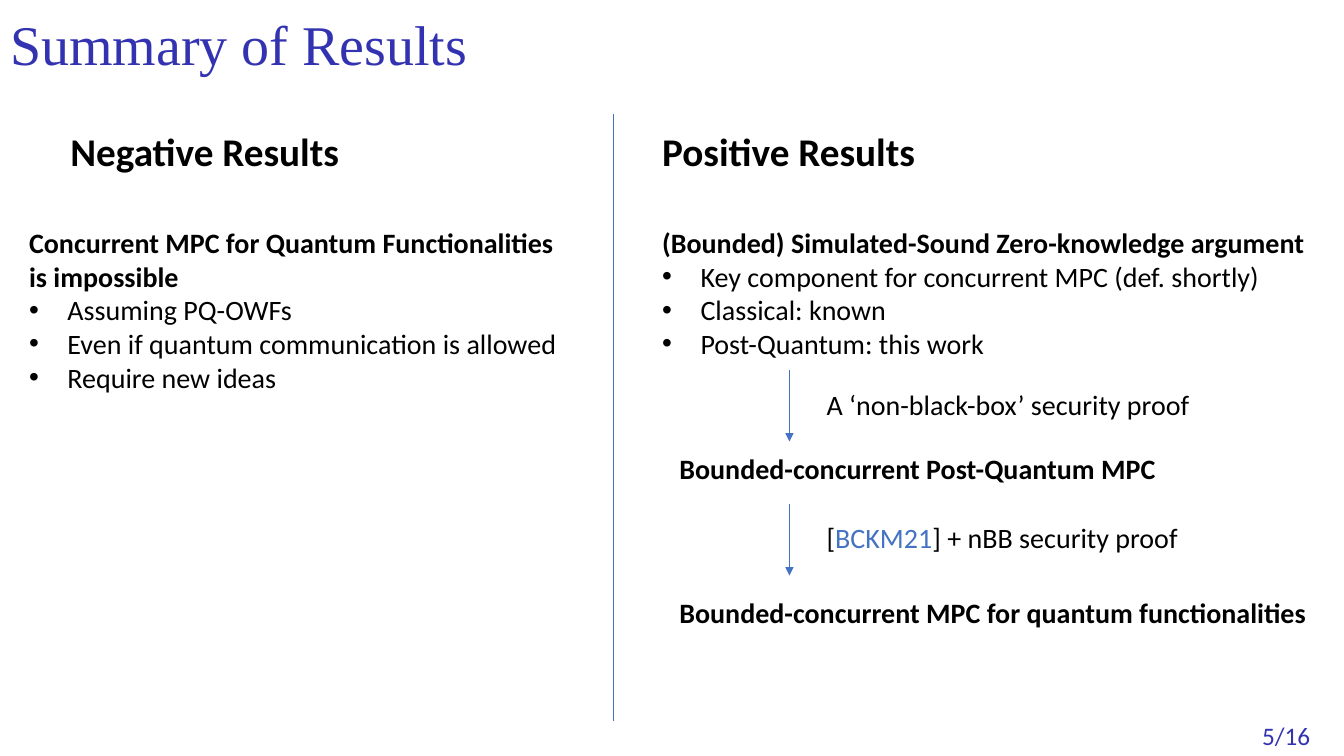
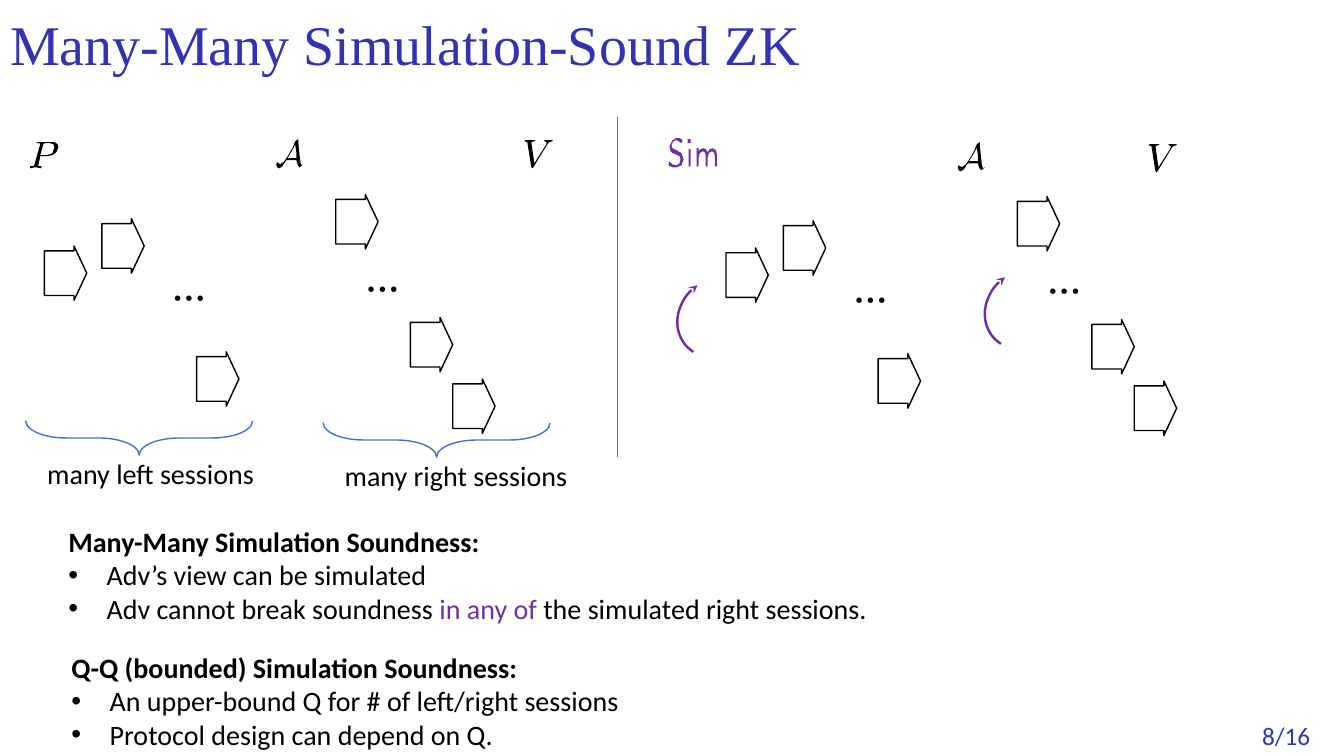
from dataclasses import dataclass
from typing import Any, NamedTuple

from lxml.etree import SubElement
from pptx import Presentation
from pptx.dml.color import RGBColor
from pptx.enum.shapes import MSO_CONNECTOR, MSO_SHAPE
from pptx.enum.text import MSO_ANCHOR, MSO_AUTO_SIZE, PP_ALIGN
from pptx.oxml.ns import qn
from pptx.util import Inches, Pt


@dataclass(frozen=True)
class Theme:
    title: RGBColor = RGBColor(0x33, 0x33, 0xB2)
    ink: RGBColor = RGBColor(0, 0, 0)
    blue: RGBColor = RGBColor(0x44, 0x72, 0xC4)
    purple: RGBColor = RGBColor(0x70, 0x30, 0xA0)
    body_font: str = "Calibri"
    title_font: str = "Times New Roman"
    title_size: int = 40
    heading_size: int = 28
    dots_size: int = 24
    body_size: int = 20
    number_size: int = 18
    hairline: float = 0.5
    outline: float = 1
    curve: float = 1.75


THEME = Theme()
PAGE_COUNT = 16
BULLET_INDENT = 0.38
SIM_SHIFT = (6.76, 0.02)


class Span(NamedTuple):
    text: str
    bold: bool = False
    color: RGBColor = THEME.ink
    size: int = THEME.body_size
    font: str = THEME.body_font


class Para(NamedTuple):
    spans: list[Span]
    bullet: bool = False


class Box(NamedTuple):
    left: float
    top: float
    width: float
    height: float
    paras: list[Para]
    rotation: float = 0


class Line(NamedTuple):
    x: float
    top: float
    bottom: float
    arrow: bool = False


class Outline(NamedTuple):
    kind: MSO_SHAPE
    left: float
    top: float
    width: float
    height: float
    adjustments: tuple[float, float]
    color: RGBColor = THEME.ink
    weight: float = THEME.outline
    rotation: float = 0


class Glyph(NamedTuple):
    left: float
    top: float
    contours: list[list[tuple[int, int]]]
    color: RGBColor = THEME.ink


LETTER_P = [
    [(10, 14), (17, 14), (22, 13), (26, 10), (28, 5), (27, 2), (24, 0), (20, 0), (7, 0), (6, 1),
     (9, 1), (10, 2), (4, 23), (3, 24), (0, 24), (0, 26), (5, 25), (11, 26), (11, 24), (8, 24),
     (8, 23)],
    [(13, 2), (15, 1), (19, 1), (23, 2), (24, 5), (22, 11), (20, 12), (16, 13), (10, 13)],
]
LETTER_V = [
    [(23, 4), (25, 2), (28, 1), (28, 0), (20, 0), (20, 1), (22, 2), (22, 4), (10, 23), (7, 2),
     (10, 1), (11, 0), (1, 0), (0, 1), (3, 2), (7, 27), (8, 28), (9, 27)],
]
LETTER_A = [
    [(20, 21), (21, 25), (23, 28), (27, 25), (25, 26), (24, 23), (23, 15), (22, 4), (22, 0),
     (19, 2), (16, 9), (12, 16), (8, 22), (4, 25), (1, 23), (0, 25), (1, 28), (3, 29), (6, 27),
     (10, 21)],
    [(19, 5), (19, 7), (20, 13), (20, 19), (11, 19), (16, 11)],
]
SIM_S = [
    [(14, 2), (11, 0), (8, 0), (4, 2), (1, 8), (2, 13), (4, 15), (7, 16), (11, 18), (12, 21),
     (11, 25), (8, 27), (4, 26), (1, 23), (0, 27), (4, 29), (8, 29), (13, 27), (15, 21),
     (13, 15), (8, 12), (4, 10), (3, 7), (5, 3), (8, 2), (13, 5)],
]
SIM_I = [
    [(22, 1), (19, 1), (19, 5), (22, 5)],
    [(22, 11), (20, 11), (20, 28), (22, 28)],
]
SIM_M = [
    [(48, 16), (47, 12), (44, 10), (41, 11), (39, 14), (37, 11), (35, 10), (32, 11), (30, 13),
     (30, 10), (28, 10), (28, 28), (30, 28), (30, 19), (31, 15), (34, 13), (36, 14), (37, 17),
     (37, 28), (39, 28), (39, 19), (40, 15), (43, 13), (45, 14), (46, 17), (46, 28), (48, 28)],
]

SESSIONS = [(0.44, 2.44), (1.01, 2.17), (1.95, 3.49), (3.33, 1.93), (4.07, 3.15), (4.49, 3.76)]
DOTS = [(1.51, 2.82), (3.43, 2.73)]
BRACES = [(0.37, 4.48, "many left sessions"), (3.32, 4.5, "many right sessions")]
REWINDS = [(6.7, 2.76), (9.75, 2.68)]


def apply_format(target: Any, values: dict[str, Any]) -> None:
    for name, value in values.items():
        setattr(target, name, value)


def plain(text: str) -> Para:
    return Para([Span(text)])


def strong(text: str, size: int = THEME.body_size) -> Para:
    return Para([Span(text, True, size=size)])


def bullet(*spans: Span) -> Para:
    return Para(list(spans), True)


def write_span(paragraph: Any, span: Span) -> None:
    run = paragraph.add_run()
    run.text = span.text
    apply_format(run.font, {"name": span.font, "size": Pt(span.size), "bold": span.bold})
    run.font.color.rgb = span.color


def add_box(page: Any, box: Box) -> None:
    shape = page.shapes.add_textbox(*map(Inches, box[:4]))
    shape.rotation = box.rotation
    frame = shape.text_frame
    apply_format(frame, {"word_wrap": True, "auto_size": MSO_AUTO_SIZE.SHAPE_TO_FIT_TEXT})
    for index, para in enumerate(box.paras):
        paragraph = frame.add_paragraph() if index else frame.paragraphs[0]
        for span in para.spans:
            write_span(paragraph, span)
        if para.bullet:
            properties = paragraph._p.get_or_add_pPr()
            indent = Inches(BULLET_INDENT)
            properties.set("marL", str(indent))
            properties.set("indent", str(-indent))
            SubElement(properties, qn("a:buFont"), typeface="Arial")
            SubElement(properties, qn("a:buChar"), char="•")


def add_line(page: Any, line: Line) -> None:
    x = Inches(line.x)
    connector = page.shapes.add_connector(
        MSO_CONNECTOR.STRAIGHT, x, Inches(line.top), x, Inches(line.bottom))
    connector.line.color.rgb = THEME.blue
    connector.line.width = Pt(THEME.hairline)
    if line.arrow:
        SubElement(connector.line._get_or_add_ln(), qn("a:tailEnd"), type="triangle")
    SubElement(connector._element.spPr, qn("a:effectLst"))


def add_outline(page: Any, outline: Outline) -> Any:
    shape = page.shapes.add_shape(outline.kind, *map(Inches, outline[1:5]))
    for index, value in enumerate(outline.adjustments):
        shape.adjustments[index] = value
    shape.rotation = outline.rotation
    shape.shadow.inherit = False
    shape.fill.background()
    shape.line.color.rgb = outline.color
    shape.line.width = Pt(outline.weight)
    return shape


def add_rewind(page: Any, left: float, top: float) -> None:
    arc = add_outline(page, Outline(MSO_SHAPE.ARC, left, top, 0.88, 0.77, (162, 10.57),
                                    THEME.purple, THEME.curve, 324.8))
    arc._element.spPr.xfrm.set("flipH", "1")
    SubElement(arc.line._get_or_add_ln(), qn("a:headEnd"), type="stealth")


def add_glyph(page: Any, glyph: Glyph) -> None:
    builder = page.shapes.build_freeform(*glyph.contours[0][0], scale=Inches(0.01))
    for index, (start, *points) in enumerate(glyph.contours):
        if index:
            builder.move_to(*start)
        builder.add_line_segments(points, close=True)
    shape = builder.convert_to_shape(Inches(glyph.left), Inches(glyph.top))
    shape.shadow.inherit = False
    shape.fill.solid()
    shape.fill.fore_color.rgb = glyph.color
    shape.line.fill.background()


def add_page(deck: Any, title: str, number: int) -> Any:
    page = deck.slides.add_slide(deck.slide_layouts[5])
    heading = page.shapes.title
    apply_format(heading, {"left": 0, "top": 0, "width": Inches(11.5), "height": Inches(0.94)})
    apply_format(heading.text_frame, {"vertical_anchor": MSO_ANCHOR.MIDDLE, "word_wrap": True})
    paragraph = heading.text_frame.paragraphs[0]
    apply_format(paragraph, {"alignment": PP_ALIGN.LEFT, "line_spacing": 0.9})
    write_span(paragraph, Span(title, False, THEME.title, THEME.title_size, THEME.title_font))
    label = Span(f"{number}/{PAGE_COUNT}", color=THEME.title, size=THEME.number_size)
    add_box(page, Box(12.42, 7.1, 0.92, 0.4, [Para([label])]))
    return page


def build_summary(deck: Any) -> None:
    page = add_page(deck, "Summary of Results", 5)
    for line in (Line(6.08, 1.13, 7.15), Line(7.83, 3.67, 4.38, True), Line(7.83, 5, 5.71, True)):
        add_line(page, line)
    boxes = [
        Box(0.6, 1.21, 2.94, 0.57, [strong("Negative Results", THEME.heading_size)]),
        Box(0.19, 2.19, 5.48, 1.78, [
            strong("Concurrent MPC for Quantum Functionalities is impossible"),
            bullet(Span("Assuming PQ-OWFs")),
            bullet(Span("Even if quantum communication is allowed")),
            bullet(Span("Require new ideas"))]),
        Box(6.47, 1.21, 2.94, 0.57, [strong("Positive Results", THEME.heading_size)]),
        Box(6.47, 2.19, 7.17, 1.45, [
            strong("(Bounded) Simulated-Sound Zero-knowledge argument"),
            bullet(Span("Key component for concurrent MPC (def. shortly)")),
            bullet(Span("Classical: known")),
            bullet(Span("Post-Quantum: this work"))]),
        Box(8.1, 3.8, 3.89, 0.44, [plain("A ‘non-black-box’ security proof")]),
        Box(6.64, 4.43, 5.25, 0.44, [strong("Bounded-concurrent Post-Quantum MPC")]),
        Box(8.1, 5.11, 4.51, 0.44, [Para([
            Span("["), Span("BCKM21", color=THEME.blue), Span("] + nBB security proof")])]),
        Box(6.64, 5.86, 6.52, 0.44, [
            strong("Bounded-concurrent MPC for quantum functionalities")]),
    ]
    for box in boxes:
        add_box(page, box)


def build_simulation(deck: Any) -> None:
    page = add_page(deck, "Many-Many Simulation-Sound ZK", 8)
    add_line(page, Line(6.12, 1.16, 4.53))
    glyphs = [Glyph(0.3, 1.41, LETTER_P), Glyph(2.74, 1.38, LETTER_A), Glyph(5.2, 1.39, LETTER_V),
              Glyph(9.5, 1.41, LETTER_A), Glyph(11.39, 1.43, LETTER_V)]
    glyphs += [Glyph(6.63, 1.37, part, THEME.purple) for part in (SIM_S, SIM_I, SIM_M)]
    for glyph in glyphs:
        add_glyph(page, glyph)
    dots = Para([Span("…", True, size=THEME.dots_size, font=THEME.title_font)])
    for shift_x, shift_y in ((0, 0), SIM_SHIFT):
        for left, top in SESSIONS:
            add_outline(page, Outline(MSO_SHAPE.RIGHT_ARROW, left + shift_x, top + shift_y,
                                      0.42, 0.54, (0.82, 0.3)))
        for left, top in DOTS:
            add_box(page, Box(left + shift_x, top + shift_y, 0.63, 0.5, [dots], 180))
    for left, top in REWINDS:
        add_rewind(page, left, top)
    for left, top, label in BRACES:
        add_outline(page, Outline(MSO_SHAPE.LEFT_BRACE, left + 0.84, top - 1.26, 0.34, 2.25,
                                  (1.18, 0.5), THEME.blue, rotation=270))
        add_box(page, Box(left, top, 2.75, 0.44, [plain(label)]))
    add_box(page, Box(0.58, 5.15, 8.44, 1.11, [
        strong("Many-Many Simulation Soundness:"),
        bullet(Span("Adv’s view can be simulated")),
        bullet(Span("Adv cannot break soundness "), Span("in any of ", color=THEME.purple),
               Span("the simulated right sessions."))]))
    add_box(page, Box(0.61, 6.4, 8.44, 1.11, [
        strong("Q-Q (bounded) Simulation Soundness:"),
        bullet(Span("An upper-bound Q for # of left/right sessions")),
        bullet(Span("Protocol design can depend on Q."))]))


def main() -> None:
    deck = Presentation()
    apply_format(deck, {"slide_width": Inches(13.33), "slide_height": Inches(7.5)})
    build_summary(deck)
    build_simulation(deck)
    deck.save("out.pptx")


if __name__ == "__main__":
    main()
